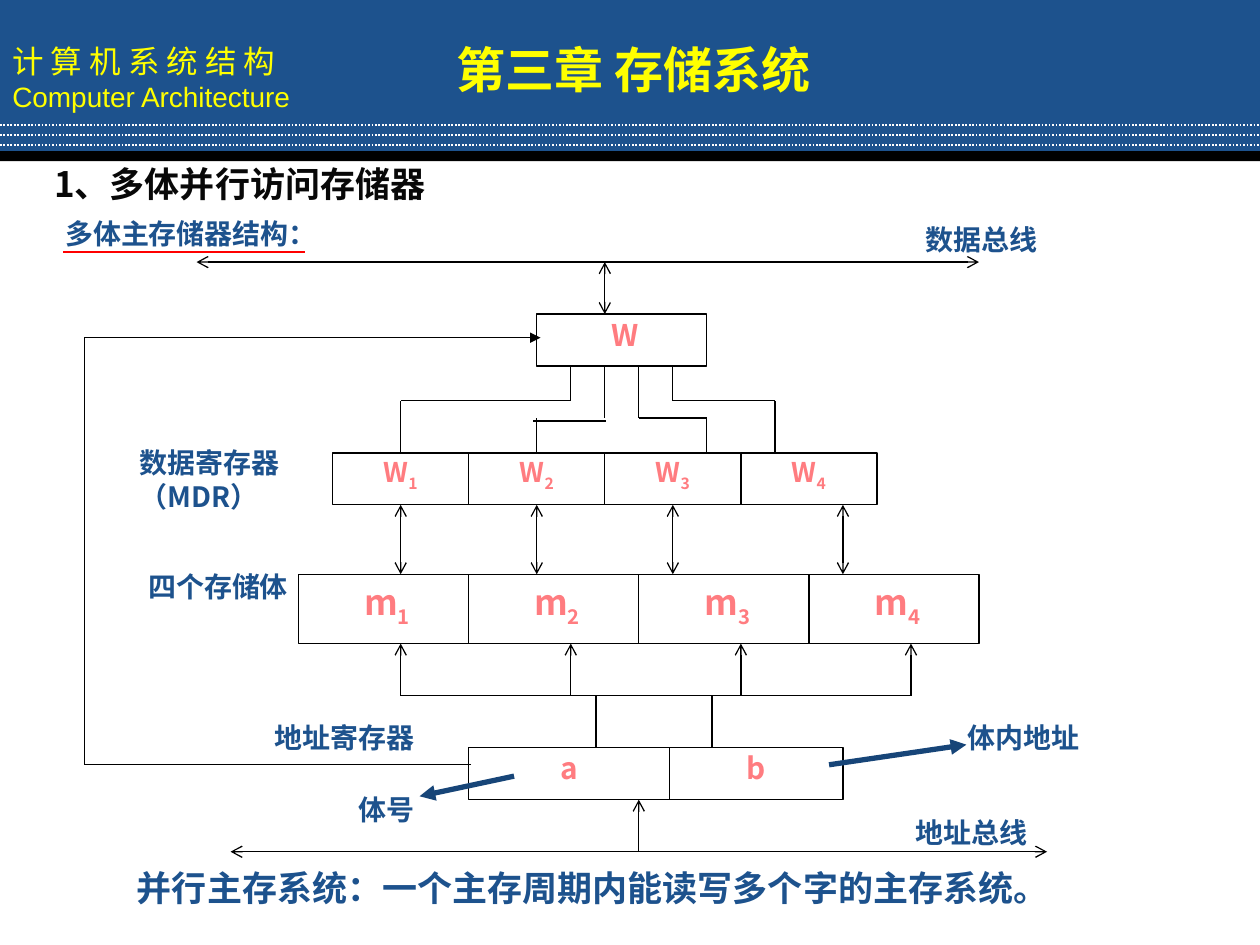
import itertools

import pptx
import pptx.dml.color
import pptx.enum.dml
import pptx.enum.shapes
import pptx.enum.text
import pptx.oxml
import pptx.oxml.ns
import pptx.util

INK = {"blue": "1D528D", "navy": "174578", "yellow": "FFFF00", "pink": "FF7C80",
       "black": "000000", "title": "080808", "red": "FF0000", "white": "FFFFFF"}
SANS = "Noto Sans CJK SC"
COL, ROW = 0.27, (6.76 - 2.08) / 34
ALIGN = pptx.enum.text.PP_ALIGN
ANCHOR = pptx.enum.text.MSO_ANCHOR
BOTH = {"head": "arrow", "tail": "arrow"}
TOP, BOTTOM = 0, 2


def col(n):
    return 2.37 + n * COL


def row(n):
    return 2.08 + n * ROW


def spot(c, r):
    return col(c), row(r)


def inch(*sizes):
    return [pptx.util.Inches(size) for size in sizes]


def rgb(name):
    return pptx.dml.color.RGBColor.from_string(INK[name])


def node(tag, **attrs):
    """Make one drawing element with its attributes."""
    item = pptx.oxml.parse_xml(f"<a:{tag} {pptx.oxml.ns.nsdecls('a')}/>")
    for key, value in attrs.items():
        item.set(key, value)
    return item


def write(frame, words, size=16, color="blue", bold=True, font=SANS, align=ALIGN.LEFT,
          anchor=ANCHOR.TOP, left=0.1, space=1.0, sub="", more=False):
    """Put a paragraph in a frame; more adds it below the last one."""
    frame.word_wrap = True
    frame.auto_size = pptx.enum.text.MSO_AUTO_SIZE.NONE
    frame.vertical_anchor = anchor
    frame.margin_left, = inch(left)
    para = frame.add_paragraph() if more else frame.paragraphs[0]
    para.alignment, para.line_spacing = align, space
    for part in filter(None, (words, sub)):
        run = para.add_run()
        run.text = part
        run.font.size, run.font.bold = pptx.util.Pt(size), bold
        run.font.name, run.font.color.rgb = font, rgb(color)
        props = run.font._element
        props.append(node("ea", typeface=font))
        if part == sub:
            props.set("baseline", "-25000")


def label(slide, words, x, y, wide, high=0.37, **style):
    text = slide.shapes.add_textbox(*inch(x, y, wide, high))
    write(text.text_frame, words, **style)


def block(slide, x, y, wide, high, fill=None, edge=None):
    shape = slide.shapes.add_shape(
        pptx.enum.shapes.MSO_SHAPE.RECTANGLE, *inch(x, y, wide, high))
    shape.shadow.inherit = False
    if fill:
        shape.fill.solid()
        shape.fill.fore_color.rgb = rgb(fill)
    else:
        shape.fill.background()
    if edge:
        shape.line.color.rgb, shape.line.width = rgb(edge), pptx.util.Pt(0.75)
    else:
        shape.line.fill.background()
    return shape


def cell(slide, words, c, r, wide, rows=3, **style):
    """Draw a labelled register box, sized in columns and rows."""
    shape = block(slide, *spot(c, r), wide * COL, rows * ROW, edge="black")
    write(shape.text_frame, words, color="pink", align=ALIGN.CENTER, **style)
    return shape


def line(slide, start, end, color="black", width=0.75, dash=None, head=None, tail=None):
    link = slide.shapes.add_connector(
        pptx.enum.shapes.MSO_CONNECTOR.STRAIGHT, *inch(*start, *end))
    link.line.color.rgb, link.line.width = rgb(color), pptx.util.Pt(width)
    if dash:
        link.line.dash_style = dash
    stroke = link.line._get_or_add_ln()
    for tag, kind in (("headEnd", head), ("tailEnd", tail)):
        if kind:
            stroke.append(node(tag, type=kind))
    link._element.spPr.append(node("effectLst"))
    return link


def route(slide, *spots, tail=None):
    """Draw a bent path and return its last piece."""
    for start, end in itertools.pairwise(spots):
        last = line(slide, start, end, tail=tail if end == spots[-1] else None)
    return last


def banner(slide):
    head = block(slide, 0, 0, 10, 1.23, fill="blue").text_frame
    style = {"color": "yellow", "bold": False, "anchor": ANCHOR.MIDDLE}
    write(head, "计 算 机 系 统 结 构", size=18, **style)
    write(head, "Computer Architecture", font="Arial", more=True, **style)
    block(slide, 0, 1.2, 10, 0.08, fill="black")
    for y in (0.99, 1.07, 1.15):
        line(slide, (0, y), (10, y), "white", 1, pptx.enum.dml.MSO_LINE.ROUND_DOT)
    name = block(slide, 3.22, 0.18, 3.61, 0.65, fill="blue")
    write(name.text_frame, "第三章 存储系统", size=28, color="yellow",
          align=ALIGN.CENTER, anchor=ANCHOR.BOTTOM)


def labels(slide):
    for words, x, y, wide in (
            ("多体主存储器结构：", 0.42, 1.67, 2.5), ("数据总线", 7.25, 1.72, 1.33),
            ("四个存储体", 1.08, 4.47, 1.67), ("地址寄存器", 2.08, 5.67, 1.68),
            ("体内地址", 7.58, 5.67, 1.33), ("体号", 2.75, 6.24, 1),
            ("地址总线", 7.17, 6.42, 1.47)):
        label(slide, words, x, y, wide)
    label(slide, "数据寄存器（MDR）", 1.01, 3.49, 1.74, 0.64)
    label(slide, "并行主存系统：一个主存周期内能读写多个字的主存系统。",
          0.58, 6.83, 8, 0.44, size=20, align=ALIGN.CENTER, left=0.35)
    line(slide, (0.5, 2), (2.42, 2), "red", 1.5)


def boxes(slide):
    """Draw all registers and banks; return the data registers."""
    cell(slide, "W", 7, 3, 5, size=17, space=0.9, left=0.15)
    words = []
    for n in range(4):
        words.append(cell(slide, "W", 1 + 4 * n, 11, 4, size=15.5, space=0.8,
                          sub=str(n + 1)))
        cell(slide, "m", 5 * n, 18, 5, 4, size=20, left=0.15, sub=str(n + 1))
    cell(slide, "a", 5, 28, 5.9, size=17, space=0.9)
    cell(slide, "b", 10.9, 28, 5.1, size=17, space=0.9)
    return words


def wires(slide, words):
    line(slide, spot(-3, 0), spot(20, 0), **BOTH)
    line(slide, spot(9, 0), spot(9, 3), **BOTH)
    line(slide, spot(-2, 34), spot(22, 34), **BOTH)
    line(slide, spot(10, 34), spot(10, 31), tail="arrow")

    first = route(slide, spot(8, 6), spot(8, 8), spot(3, 8), spot(3, 11))
    first.end_connect(words[0], TOP)
    line(slide, spot(9, 6), spot(9, 9))
    line(slide, spot(6.9, 9.15), spot(9.04, 9.15), width=1)
    line(slide, spot(7, 9), spot(7, 11)).end_connect(words[1], TOP)
    route(slide, spot(10, 6), spot(10, 9), spot(12, 9), spot(12, 11))
    route(slide, spot(11, 6), spot(11, 8), spot(14, 8), spot(14, 11))

    for c, word in zip((3, 7, 11, 16), words):
        link = line(slide, spot(c, 14), spot(c, 18), **BOTH)
        if c < 16:
            link.begin_connect(word, BOTTOM)
    for c in range(3, 19, 5):
        line(slide, spot(c, 25), spot(c, 22), tail="arrow")
    line(slide, spot(3, 25), spot(18, 25))
    for x in (4.73, 5.65):
        line(slide, (x, row(25)), (x, row(28)))

    route(slide, (3.74, 6.07), (0.67, 6.07), (0.67, 2.68), (4.29, 2.68), tail="triangle")
    for start, end in (((6.58, 6.07), (7.67, 5.91)), ((4.08, 6.16), (3.33, 6.32))):
        line(slide, start, end, "navy", 3, tail="triangle")


def main():
    deck = pptx.Presentation()
    deck.slide_width, deck.slide_height = inch(10, 7.5)
    slide = deck.slides.add_slide(deck.slide_layouts[5])
    title = slide.shapes.title
    title.left, title.top, title.width, title.height = inch(0.33, 1.24, 4.25, 0.43)
    write(title.text_frame, "1、多体并行访问存储器", size=20, color="title",
          anchor=ANCHOR.MIDDLE)
    banner(slide)
    labels(slide)
    wires(slide, boxes(slide))
    deck.save("out.pptx")


if __name__ == "__main__":
    main()
